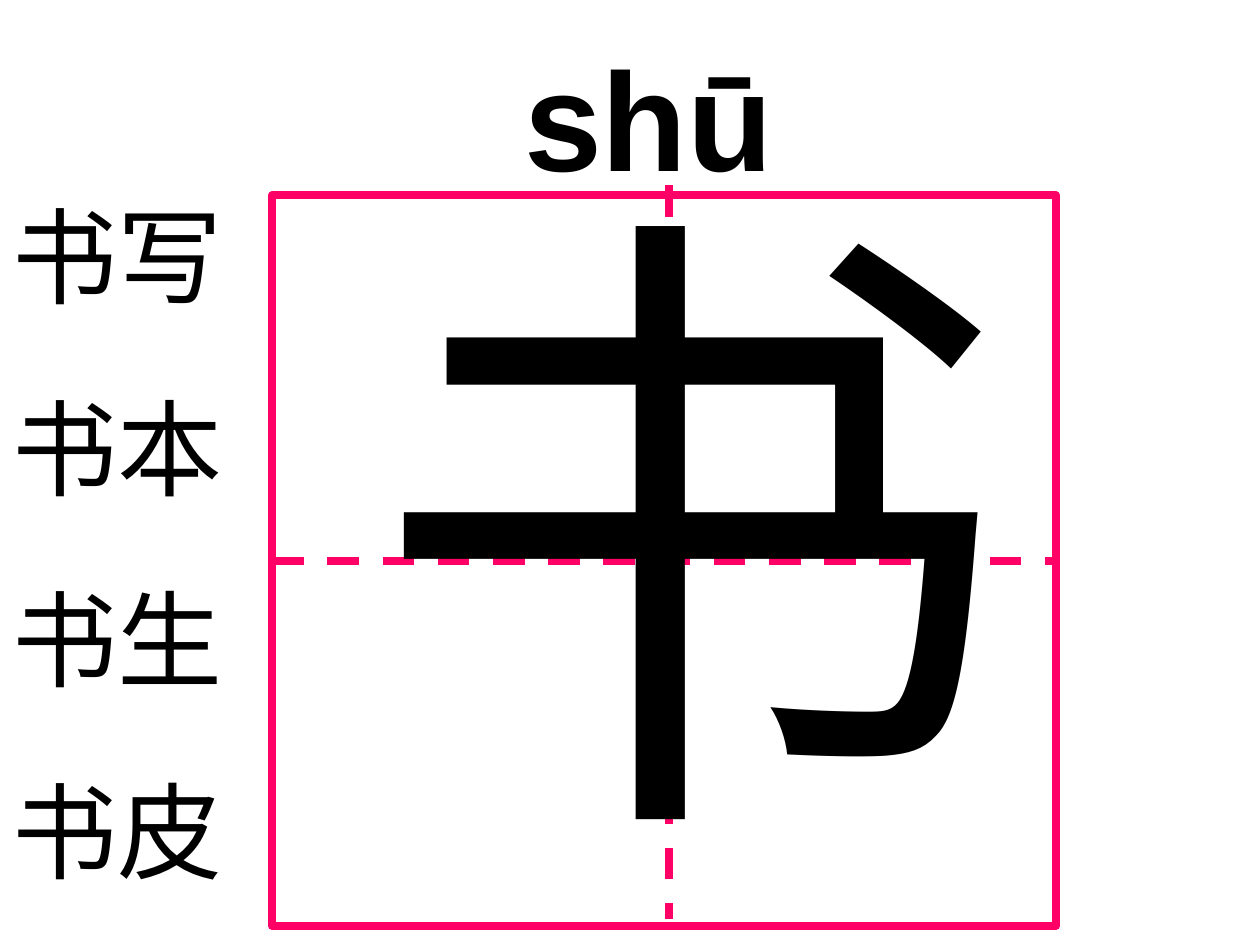
from lxml import etree
from pptx import Presentation
from pptx.dml.color import RGBColor
from pptx.enum.dml import MSO_LINE
from pptx.enum.shapes import MSO_CONNECTOR, MSO_SHAPE
from pptx.enum.text import MSO_ANCHOR, PP_ALIGN
from pptx.oxml.ns import qn
from pptx.util import Inches, Pt

DASH = MSO_LINE.DASH
LINE, RECT = MSO_CONNECTOR.STRAIGHT, MSO_SHAPE.RECTANGLE
TOP, LEFT = MSO_ANCHOR.TOP, PP_ALIGN.LEFT

SOUND = "shū"
GLYPH = "书"
WORDS = ["书写", "书本", "书生", "书皮"]
COLORS = {"ink": "000000", "grid": "FF0066"}

WIDE, HIGH = 10, 7.5
BOX = (2.16, 1.55, 6.22, 5.8)
MID_X, MID_Y = 5.31, BOX[1] + BOX[3] / 2


def write(shape, lines, size, font="Arial", bold=False, gap=0, wrap=True):
    frame = shape.text_frame
    frame.word_wrap = wrap
    frame.vertical_anchor = TOP
    for i, text in enumerate(lines):
        para = frame.paragraphs[0] if i == 0 else frame.add_paragraph()
        para.alignment = LEFT
        para.space_before = Pt(gap if i else 0)
        run = para.add_run()
        run.text = text
        run.font.name, run.font.size, run.font.bold = font, Pt(size), bold
        run.font.color.rgb = RGBColor.from_string(COLORS["ink"])


def stroke(line, color, width, dash=None):
    line.color.rgb = RGBColor.from_string(COLORS[color])
    line.width = Pt(width)
    if dash:
        line.dash_style = dash


def rule(x1, y1, x2, y2, color="grid", width=4.5, dash=DASH):
    link = shapes.add_connector(LINE, *map(Inches, (x1, y1, x2, y2)))
    stroke(link.line, color, width, dash)
    etree.SubElement(link._element.spPr, qn("a:effectLst"))
    return link


def text_box(*place):
    return shapes.add_textbox(*map(Inches, place))


deck = Presentation()
deck.slide_width, deck.slide_height = Inches(WIDE), Inches(HIGH)
slide = deck.slides.add_slide(deck.slide_layouts[5])
shapes = slide.shapes

title = shapes.title
title.left, title.top, title.width, title.height = map(
    Inches, (4.06, 0.2, 3.23, 1.44))
write(title, [SOUND], 80, bold=True)

rule(1.85, MID_Y, 1.85, MID_Y, color="ink", width=0.75, dash=None)

box = shapes.add_shape(RECT, *map(Inches, BOX))
box.shadow.inherit = False
box.fill.background()
stroke(box.line, "grid", 4.5)

across = rule(BOX[0], MID_Y, BOX[0] + BOX[2], MID_Y)
across.begin_connect(box, 1)
across.end_connect(box, 3)
rule(MID_X, 1.47, MID_X, 7.29)

write(text_box(2.8, 0.91, 5.34, 6.27), [GLYPH], 370,
      font="Times New Roman", wrap=False)
write(text_box(0, 1.47, 2.05, 7.19), WORDS, 60, gap=37.5)

deck.save("out.pptx")
